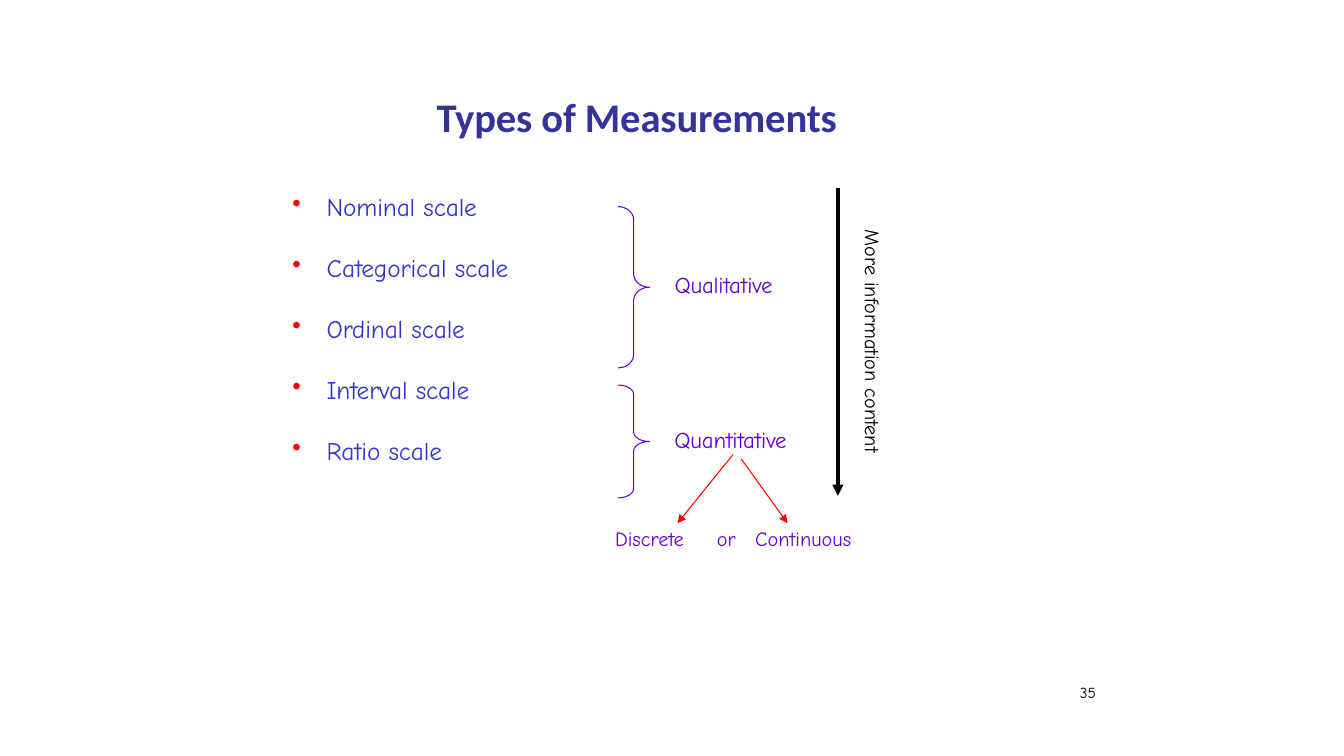
from dataclasses import dataclass
from lxml.etree import SubElement
from pptx import Presentation
from pptx.dml.color import RGBColor
from pptx.enum.shapes import MSO_CONNECTOR, MSO_SHAPE
from pptx.enum.text import MSO_ANCHOR
from pptx.oxml.ns import qn
from pptx.util import Inches, Pt


@dataclass(frozen=True)
class Theme:
    """Hold the colours, fonts and type sizes of the slide."""
    title_color: str = "33339A"
    scale_color: str = "3333CC"
    group_color: str = "6500CC"
    brace_color: str = "6600CC"
    accent: str = "FF0000"
    ink: str = "000000"
    title_font: str = "Calibri"
    body_font: str = "Comic Neue"
    title_size: float = 29
    scale_size: float = 18.1
    group_size: float = 16.3
    detail_size: float = 14.5
    number_size: float = 10.9


THEME = Theme()
SCALES = ["Nominal scale", "Categorical scale", "Ordinal scale",
          "Interval scale", "Ratio scale"]


def set_attributes(target, values):
    """Set each named value on the target."""
    for name, value in values.items():
        setattr(target, name, value)


def add_text(slide, box, lines, size, color, font=THEME.body_font, bold=False,
             inset=0.01, before=0.9, indent=0.01, spacing=-0.1):
    """Add a text box with one paragraph per line and return its frame."""
    frame = slide.shapes.add_textbox(*map(Inches, box)).text_frame
    set_attributes(frame, {"word_wrap": True, "margin_left": 0, "margin_right": 0,
                           "margin_top": Inches(inset), "margin_bottom": 0})
    for index, line in enumerate(lines):
        paragraph = frame.paragraphs[0] if index == 0 else frame.add_paragraph()
        paragraph.space_before = Pt(before)
        paragraph._p.get_or_add_pPr().set("marL", str(Inches(indent)))
        run = paragraph.add_run()
        run.text = line
        set_attributes(run.font, {"name": font, "size": Pt(size), "bold": bold})
        run.font.color.rgb = RGBColor.from_string(color)
        run.font._element.set("spc", str(round(spacing * 100)))
    return frame


def add_title(slide, box):
    """Add the slide title."""
    frame = add_text(slide, box, ["Types of Measurements"], THEME.title_size,
                     THEME.title_color, THEME.title_font, True)
    frame.vertical_anchor = MSO_ANCHOR.MIDDLE


def add_scales(slide, box):
    """Add the bulleted list of measurement scales."""
    frame = add_text(slide, box, SCALES, THEME.scale_size, THEME.scale_color,
                     before=21.8, indent=0.35)
    frame.paragraphs[0].space_before = Pt(0.9)
    for paragraph in frame.paragraphs:
        properties = paragraph._p.get_or_add_pPr()
        properties.set("indent", str(Inches(-0.34)))
        bullet_color = SubElement(properties, qn("a:buClr"))
        SubElement(bullet_color, qn("a:srgbClr"), val=THEME.accent)
        SubElement(properties, qn("a:buChar"), char="•")


def add_arrow(slide, start, end, color, width):
    """Add a straight arrow from start to end."""
    arrow = slide.shapes.add_connector(MSO_CONNECTOR.STRAIGHT,
                                       *map(Inches, (*start, *end)))
    arrow.line.width = Pt(width)
    arrow.line.color.rgb = RGBColor.from_string(color)
    SubElement(arrow.line._get_or_add_ln(), qn("a:tailEnd"), type="triangle")
    SubElement(arrow._element.spPr, qn("a:effectLst"))


def add_group(slide, box, label, label_width, curve):
    """Add a brace filling the box and its label to the right."""
    left, top, width, height = box
    brace = slide.shapes.add_shape(MSO_SHAPE.RIGHT_BRACE, *map(Inches, box))
    brace.shadow.inherit = False
    brace.adjustments[0] = curve
    brace.fill.background()
    brace.line.width = Pt(0.75)
    brace.line.color.rgb = RGBColor.from_string(THEME.brace_color)
    label_box = (left + width + 0.24, top + height / 2 - 0.17, label_width, 0.29)
    add_text(slide, label_box, [label], THEME.group_size, THEME.group_color)


def add_quantitative_split(slide, box):
    """Add two arrows leading to the kinds of quantitative data."""
    left, top, width, height = box
    for start, end in [((1.18, 0), (0.63, 0.68)), ((1.26, 0.04), (1.72, 0.68))]:
        add_arrow(slide, (left + start[0], top + start[1]),
                  (left + end[0], top + end[1]), THEME.accent, 0.75)
    frame = add_text(slide, (left, top + 0.7, width, height - 0.7),
                     ["Discrete\tor\tContinuous"], THEME.detail_size,
                     THEME.group_color, spacing=0)
    tabs = SubElement(frame.paragraphs[0]._p.get_or_add_pPr(), qn("a:tabLst"))
    for position in (1.01, 1.39):
        SubElement(tabs, qn("a:tab"), pos=str(Inches(position)), algn="l")


def add_information_axis(slide, box):
    """Add the downward arrow and its vertical caption."""
    left, top, width, height = box
    add_arrow(slide, (left, top), (left, top + height), THEME.ink, 2.7)
    frame = add_text(slide, (left - 0.02, top + 0.37, width, 2.45),
                     ["More information content"], THEME.detail_size, THEME.ink,
                     inset=0.03, before=2.4, spacing=0)
    frame._txBody.bodyPr.set("vert", "vert")


def add_slide_number(slide, box):
    """Add the slide number."""
    add_text(slide, box, ["35"], THEME.number_size, THEME.ink,
             inset=0.03, before=2, indent=0.04, spacing=0)


def main():
    """Build and save the presentation."""
    presentation = Presentation()
    set_attributes(presentation, {"slide_width": Inches(13.33),
                                  "slide_height": Inches(7.5)})
    slide = presentation.slides.add_slide(presentation.slide_layouts[6])
    add_title(slide, (4.32, 0.9, 4.7, 0.5))
    add_scales(slide, (2.89, 1.89, 2.35, 2.77))
    add_group(slide, (6.13, 2.05, 0.31, 1.6), "Qualitative", 1.21, 0.42)
    add_group(slide, (6.13, 3.82, 0.31, 1.12), "Quantitative", 1.37, 0.3)
    add_information_axis(slide, (8.31, 1.87, 0.49, 3.05))
    add_quantitative_split(slide, (6.09, 4.51, 2.41, 0.96))
    add_slide_number(slide, (10.67, 6.75, 0.24, 0.21))
    presentation.save("out.pptx")


if __name__ == "__main__":
    main()
